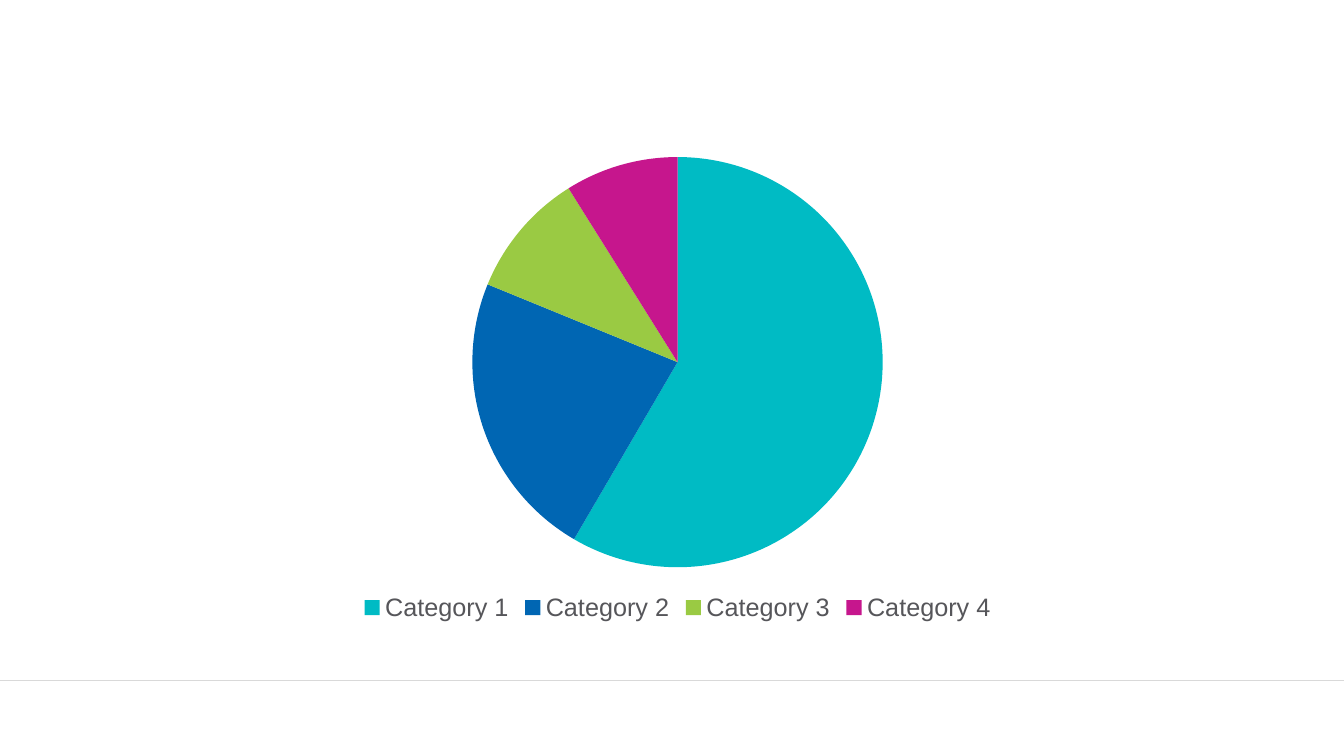
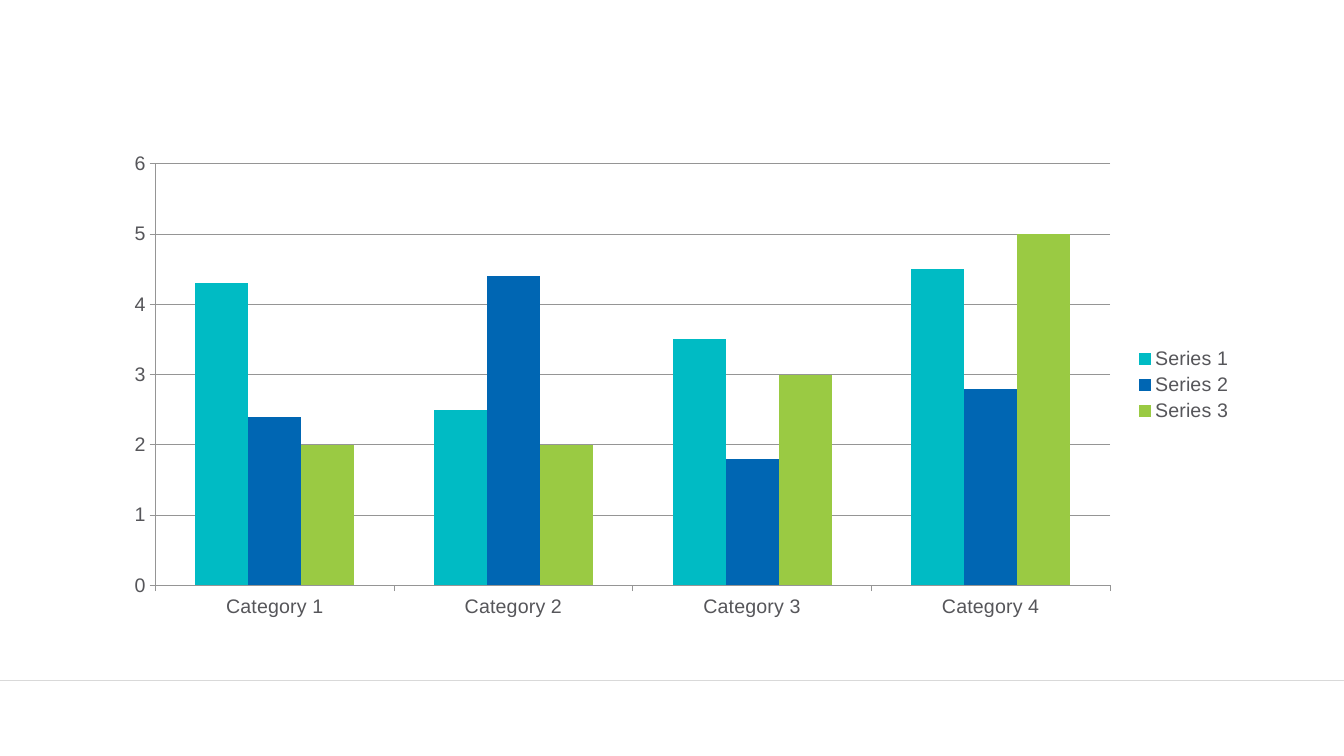
from pptx import Presentation
from pptx.chart.data import CategoryChartData
from pptx.dml.color import RGBColor
from pptx.enum import chart as ch, shapes
from pptx.oxml.ns import qn
from pptx.util import Inches, Pt
from lxml import etree

TEXT = RGBColor(0x56, 0x56, 0x5A)
RULE = RGBColor(0xD9, 0xD9, 0xD9)
AXIS = RGBColor(0x95, 0x95, 0x95)
TEAL = RGBColor(0x00, 0xBB, 0xC4)
BLUE = RGBColor(0x00, 0x66, 0xB3)
GREEN = RGBColor(0x9A, 0xCA, 0x43)
MAGENTA = RGBColor(0xC6, 0x16, 0x8D)
PALETTE = [TEAL, BLUE, GREEN, MAGENTA]
CATEGORIES = ["Category 1", "Category 2", "Category 3", "Category 4"]

prs = Presentation()
prs.slide_width, prs.slide_height = Inches(13.33), Inches(7.5)


def add_chart_slide(kind, series, size, legend_position):
    """Add a slide with the footer rule and one chart; return the chart."""
    s = prs.slides.add_slide(prs.slide_layouts[6])

    # Footer rule
    rule = s.shapes.add_connector(shapes.MSO_CONNECTOR.STRAIGHT, 0, Inches(6.75),
                                  prs.slide_width, Inches(6.75))
    rule.line.color.rgb = RULE
    rule.line.width = Pt(0.25)
    etree.SubElement(rule._element.spPr, qn("a:effectLst"))

    # Chart with its font and legend
    data = CategoryChartData()
    data.categories = CATEGORIES
    for name, values in series.items():
        data.add_series(name, values)
    chart = s.shapes.add_chart(kind, Inches(1.11), Inches(1.42),
                               Inches(11.22), Inches(4.8), data).chart
    chart.has_title = False
    chart.font.name = "Arial"
    chart.font.size = Pt(size)
    chart.font.color.rgb = TEXT
    chart.has_legend = True
    chart.legend.position = legend_position
    chart.legend.include_in_layout = False
    return chart


# Slide 1: pie chart
pie = add_chart_slide(ch.XL_CHART_TYPE.PIE, {"Series 1": [59, 23, 10, 9]},
                      18, ch.XL_LEGEND_POSITION.BOTTOM)
pie.plots[0].vary_by_categories = True
for i, color in enumerate(PALETTE):
    fill = pie.plots[0].series[0].points[i].format.fill
    fill.solid()
    fill.fore_color.rgb = color

# Slide 2: clustered columns
columns = add_chart_slide(
    ch.XL_CHART_TYPE.COLUMN_CLUSTERED,
    {"Series 1": [4.3, 2.5, 3.5, 4.5],
     "Series 2": [2.4, 4.4, 1.8, 2.8],
     "Series 3": [2, 2, 3, 5]},
    14, ch.XL_LEGEND_POSITION.RIGHT)
plot = columns.plots[0]
plot.vary_by_categories = False
plot.gap_width = 150
plot.overlap = 0
for series, color in zip(plot.series, PALETTE):
    series.invert_if_negative = False
    series.format.fill.solid()
    series.format.fill.fore_color.rgb = color

# Axes and gridlines
for axis in (columns.category_axis, columns.value_axis):
    axis.major_tick_mark = ch.XL_TICK_MARK.OUTSIDE
    axis.format.line.color.rgb = AXIS
    axis.format.line.width = Pt(0.75)
columns.value_axis.has_major_gridlines = True
grid = columns.value_axis.major_gridlines.format.line
grid.color.rgb = AXIS
grid.width = Pt(0.75)

prs.save("out.pptx")
